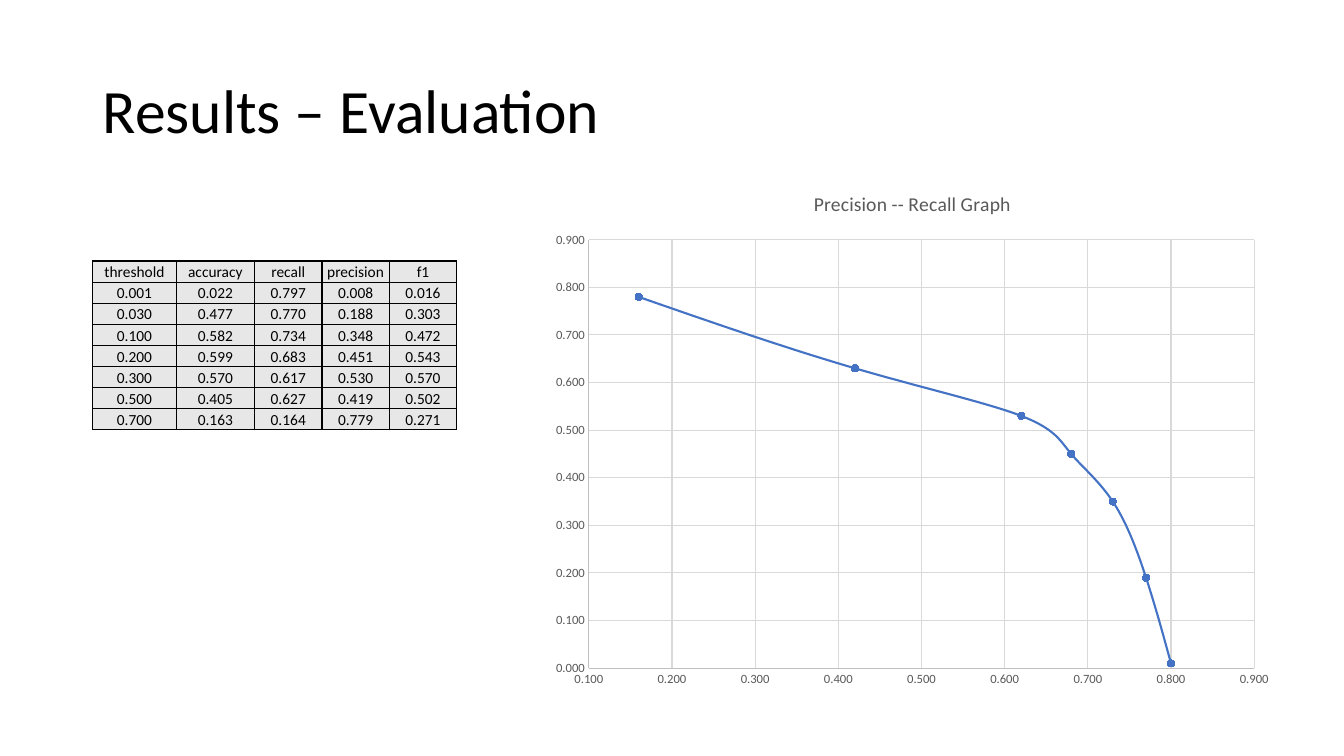
import pptx
import pptx.chart.data
import pptx.dml.color
import pptx.enum.chart
import pptx.enum.text
import pptx.oxml
import pptx.oxml.ns
import pptx.util
from pptx.util import Inches

FONT = "Calibri"
BLACK, GRAY, BLUE = "000000", "595959", "4472C4"

METRICS = [
    ("threshold", "accuracy", "recall", "precision", "f1"),
    ("0.001", "0.022", "0.797", "0.008", "0.016"),
    ("0.030", "0.477", "0.770", "0.188", "0.303"),
    ("0.100", "0.582", "0.734", "0.348", "0.472"),
    ("0.200", "0.599", "0.683", "0.451", "0.543"),
    ("0.300", "0.570", "0.617", "0.530", "0.570"),
    ("0.500", "0.405", "0.627", "0.419", "0.502"),
    ("0.700", "0.163", "0.164", "0.779", "0.271"),
]
COLUMN_WIDTHS = [0.83, 0.78, 0.67, 0.67, 0.67]
CURVE = [(0.8, 0.01), (0.77, 0.19), (0.73, 0.35), (0.68, 0.45),
         (0.62, 0.53), (0.42, 0.63), (0.16, 0.78)]


def color(value):
    return pptx.dml.color.RGBColor.from_string(value)


def style_font(font, size, value):
    font.name = FONT
    font.size = pptx.util.Pt(size)
    font.bold = False
    font.color.rgb = color(value)


def style_line(line, value, width):
    line.color.rgb = color(value)
    line.width = pptx.util.Pt(width)


def add_run(p, text, size, value):
    r = p.add_run()
    r.text = text
    style_font(r.font, size, value)


def add_title(s, x, y, w, h):
    tf = s.shapes.add_textbox(Inches(x), Inches(y), Inches(w), Inches(h)).text_frame
    tf.word_wrap = True
    tf.vertical_anchor = pptx.enum.text.MSO_ANCHOR.MIDDLE
    p = tf.paragraphs[0]
    p.line_spacing = 0.9
    add_run(p, "Results – Evaluation", 44, BLACK)


def add_borders(cell):
    tc_pr = cell._tc.get_or_add_tcPr()
    for side in ("lnL", "lnR", "lnT", "lnB"):
        tc_pr.append(pptx.oxml.parse_xml(
            f'<a:{side} {pptx.oxml.ns.nsdecls("a")} w="12700"><a:solidFill>'
            f'<a:srgbClr val="{BLACK}"/></a:solidFill></a:{side}>'))


def add_metrics_table(s, x, y, w, h):
    table = s.shapes.add_table(len(METRICS), len(COLUMN_WIDTHS), Inches(x), Inches(y),
                               Inches(w), Inches(h)).table
    table.first_row = table.horz_banding = False
    for column, width in zip(table.columns, COLUMN_WIDTHS):
        column.width = Inches(width * w / sum(COLUMN_WIDTHS))
    for i, values in enumerate(METRICS):
        table.rows[i].height = Inches(h / len(METRICS))
        for j, text in enumerate(values):
            cell = table.cell(i, j)
            add_borders(cell)
            cell.fill.solid()
            cell.fill.fore_color.rgb = color("E7E7E7")
            cell.margin_left = cell.margin_right = cell.margin_top = Inches(0.01)
            cell.margin_bottom = 0
            cell.vertical_anchor = pptx.enum.text.MSO_ANCHOR.BOTTOM
            p = cell.text_frame.paragraphs[0]
            p.alignment = pptx.enum.text.PP_ALIGN.CENTER
            add_run(p, text, 11, BLACK)


def style_axis(axis, low, high):
    axis.minimum_scale, axis.maximum_scale, axis.major_unit = low, high, 0.1
    axis.major_tick_mark = axis.minor_tick_mark = pptx.enum.chart.XL_TICK_MARK.NONE
    axis.has_major_gridlines = True
    style_line(axis.major_gridlines.format.line, "D9D9D9", 0.75)
    style_line(axis.format.line, "BFBFBF", 0.75)
    axis.tick_labels.number_format = "0.000"
    axis.tick_labels.number_format_is_linked = False
    style_font(axis.tick_labels.font, 9, GRAY)


def place_plot(chart, x, y, w, h):
    plot_area = chart._chartSpace.chart.plotArea
    for old in plot_area.findall(pptx.oxml.ns.qn("c:layout")):
        plot_area.remove(old)
    sizes = "".join(f'<c:{tag} val="{val}"/>' for tag, val in zip("xywh", (x, y, w, h)))
    plot_area.insert(0, pptx.oxml.parse_xml(
        f'<c:layout {pptx.oxml.ns.nsdecls("c")}><c:manualLayout>'
        '<c:layoutTarget val="inner"/><c:xMode val="edge"/><c:yMode val="edge"/>'
        f'{sizes}</c:manualLayout></c:layout>'))


def add_curve_chart(s, x, y, w, h):
    data = pptx.chart.data.XyChartData()
    points = data.add_series("Series 1")
    for recall, precision in CURVE:
        points.add_data_point(recall, precision)
    chart = s.shapes.add_chart(pptx.enum.chart.XL_CHART_TYPE.XY_SCATTER_SMOOTH, Inches(x),
                               Inches(y), Inches(w), Inches(h), data).chart
    style_font(chart.font, 10, BLACK)
    chart.has_legend = False
    chart.has_title = True
    add_run(chart.chart_title.text_frame.paragraphs[0], "Precision -- Recall Graph", 14, GRAY)
    chart.chart_title.include_in_layout = False
    chart.plots[0].vary_by_categories = False
    style_axis(chart.category_axis, 0.1, 0.9)
    style_axis(chart.value_axis, 0, 0.9)
    place_plot(chart, 0.47 / w, 0.69 / h, 6.6 / w, 4.25 / h)

    series = chart.plots[0].series[0]
    for smooth in series._element.findall(pptx.oxml.ns.qn("c:smooth")):
        smooth.set("val", "1")
    style_line(series.format.line, BLUE, 1.5)
    marker = series.marker
    marker.style = pptx.enum.chart.XL_MARKER_STYLE.CIRCLE
    marker.size = 5
    marker.format.fill.solid()
    marker.format.fill.fore_color.rgb = color(BLUE)
    style_line(marker.format.line, BLUE, 0.75)


def main():
    prs = pptx.Presentation()
    prs.slide_width, prs.slide_height = Inches(13.33), Inches(7.5)
    s = prs.slides.add_slide(prs.slide_layouts[6])
    add_title(s, 0.92, 0.4, 11.5, 1.45)
    add_metrics_table(s, 0.92, 2.59, 3.61, 1.67)
    add_curve_chart(s, 5.37, 1.69, 7.36, 5.23)
    prs.save("out.pptx")


if __name__ == "__main__":
    main()
